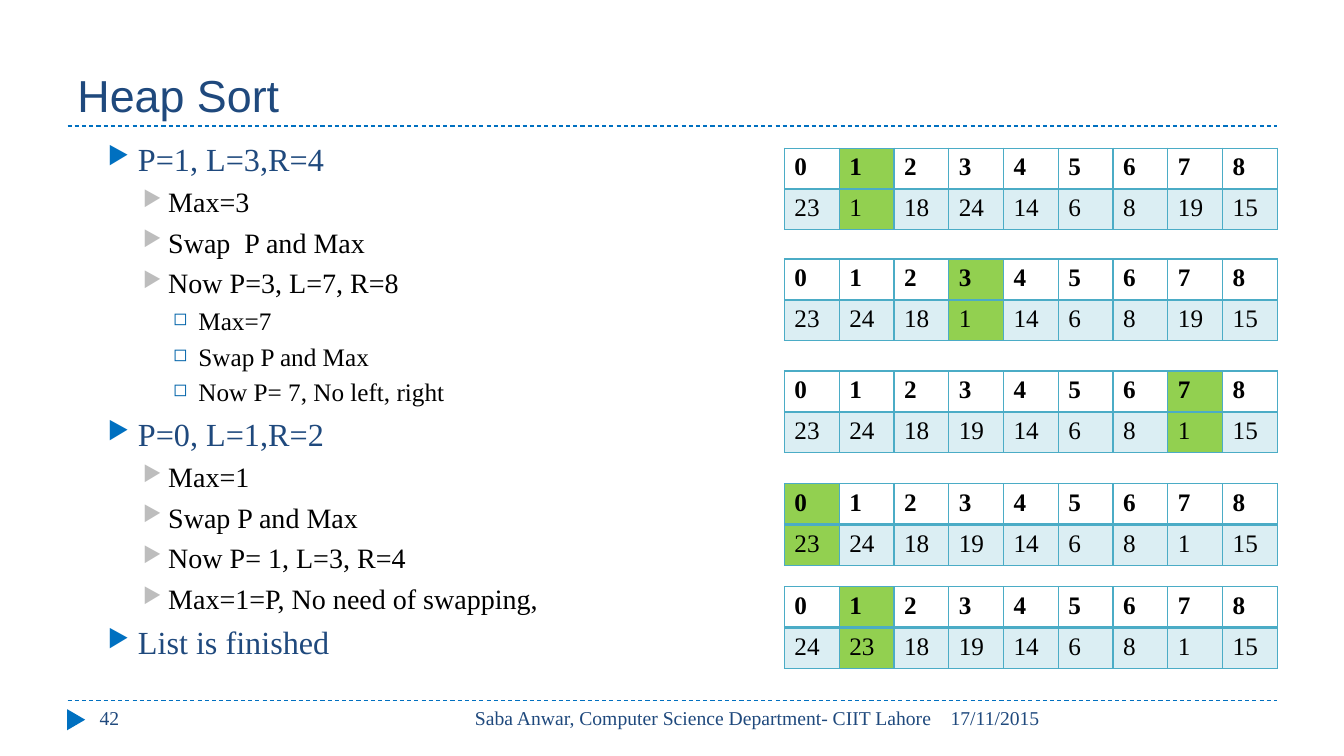
from pptx import Presentation
from pptx.dml.color import RGBColor
from pptx.enum.dml import MSO_LINE
from pptx.enum.shapes import MSO_CONNECTOR, MSO_SHAPE
from pptx.enum.text import MSO_ANCHOR, PP_ALIGN
from pptx.oxml.ns import qn
from pptx.util import Inches, Pt
from lxml.etree import SubElement

INK = {"navy": "1F497D", "blue": "0070C0", "gray": "BDBDBD", "deep": "0063A9",
       "black": "000000", "teal": "4BACC6", "green": "92D050"}
SERIF = "Times New Roman"

# Per level: indent, hang, space before, size, text colour, mark, its colour, its size
LEVELS = {1: (0.6, 0.3, 5, 23, "navy", "▶", "blue", 76),
          2: (0.9, 0.25, 5, 20, "black", "▶", "gray", 76),
          3: (1.2, 0.25, 4, 18, "black", "◻", "deep", 70)}

STEPS = [(1, "P=1, L=3,R=4"), (2, "Max=3"), (2, "Swap  P and Max"),
         (2, "Now P=3, L=7, R=8"), (3, "Max=7"), (3, "Swap P and Max"),
         (3, "Now P= 7, No left, right"), (1, "P=0, L=1,R=2"), (2, "Max=1"),
         (2, "Swap P and Max"), (2, "Now P= 1, L=3, R=4"),
         (2, "Max=1=P, No need of swapping,"), (1, "List is finished")]

# Per table: top, marked column, heap values
HEAPS = [(1.47, 1, [23, 1, 18, 24, 14, 6, 8, 19, 15]),
         (2.57, 3, [23, 24, 18, 1, 14, 6, 8, 19, 15]),
         (3.68, 7, [23, 24, 18, 19, 14, 6, 8, 1, 15]),
         (4.8, 0, [23, 24, 18, 19, 14, 6, 8, 1, 15]),
         (5.82, 1, [24, 23, 18, 19, 14, 6, 8, 1, 15])]


def tint(name):
    return RGBColor.from_string(INK[name])


class Deck:
    def __init__(self):
        self.file = Presentation()
        self.file.slide_width = Inches(13.33)
        self.file.slide_height = Inches(7.5)
        self.slide = self.file.slides.add_slide(self.file.slide_layouts[6])
        self.shapes = self.slide.shapes

    def rule(self, y):
        line = self.shapes.add_connector(
            MSO_CONNECTOR.STRAIGHT, Inches(0.67), Inches(y), Inches(12.67), Inches(y))
        line.line.color.rgb = tint("blue")
        line.line.width = Pt(0.75)
        line.line.dash_style = MSO_LINE.DASH
        SubElement(line._element.spPr, qn("a:effectLst"))

    def arrow(self, *box):
        shape = self.shapes.add_shape(
            MSO_SHAPE.ISOSCELES_TRIANGLE, *[Inches(n) for n in box])
        shape.rotation = 90
        shape.shadow.inherit = False
        shape.fill.solid()
        shape.fill.fore_color.rgb = tint("blue")
        shape.line.fill.background()

    def frame(self, box, anchor=MSO_ANCHOR.TOP):
        frame = self.shapes.add_textbox(*[Inches(n) for n in box]).text_frame
        frame.word_wrap = True
        frame.vertical_anchor = anchor
        return frame

    def run(self, para, text, size, color, face=SERIF, bold=False):
        run = para.add_run()
        run.text = text
        font = run.font
        font.size, font.name, font.bold = Pt(size), face, bold
        font.color.rgb = tint(color)

    def text(self, box, text, size=14, face=SERIF, align=PP_ALIGN.LEFT,
             anchor=MSO_ANCHOR.TOP):
        para = self.frame(box, anchor).paragraphs[0]
        para.alignment = align
        self.run(para, text, size, "navy", face)

    def list(self, box, items):
        frame = self.frame(box)
        for i, (level, text) in enumerate(items):
            left, hang, space, size, color, mark, hue, scale = LEVELS[level]
            para = frame.add_paragraph() if i else frame.paragraphs[0]
            para.level = level - 1
            para.space_before = Pt(space if i else 0)
            props = para._p.get_or_add_pPr()
            props.set("marL", str(Inches(left)))
            props.set("indent", str(-Inches(hang)))
            SubElement(SubElement(props, qn("a:buClr")), qn("a:srgbClr"), val=INK[hue])
            SubElement(props, qn("a:buSzPct"), val=str(scale * 1000))
            SubElement(props, qn("a:buChar"), char=mark)
            self.run(para, text, size, color)

    def edge(self, props, side, width):
        line = SubElement(props, qn("a:ln" + side), w=str(Pt(width)))
        SubElement(SubElement(line, qn("a:solidFill")), qn("a:srgbClr"), val=INK["teal"])

    def cell(self, cell, text, head, marked):
        props = cell._tc.get_or_add_tcPr()
        # The line between the two rows is the thick one
        for side, width in (("L", 1), ("R", 1), ("T", 1 if head else 2),
                            ("B", 2 if head else 1)):
            self.edge(props, side, width)
        if head and not marked:
            cell.fill.background()
        else:
            cell.fill.solid()
            cell.fill.fore_color.rgb = tint("green" if marked else "teal")
            if not marked:
                color = props.find(qn("a:solidFill")).find(qn("a:srgbClr"))
                SubElement(color, qn("a:alpha"), val="20000")
        self.run(cell.text_frame.paragraphs[0], text, 18, "black", bold=head)

    def heap(self, top, mark, values):
        table = self.shapes.add_table(
            2, len(values), Inches(7.78), Inches(top), Inches(4.89), Inches(0.81)).table
        table.horz_banding = False
        for r, row in enumerate([range(len(values)), values]):
            for c, value in enumerate(row):
                self.cell(table.cell(r, c), str(value), r == 0, c == mark)


def main():
    deck = Deck()

    # Rules and footer mark
    deck.rule(6.95)
    deck.rule(1.25)
    deck.arrow(0.65, 7.05, 0.21, 0.18)

    # Title and footer
    deck.text((0.67, 0.17, 12, 1.08), "Heap Sort", 32, "Arial", anchor=MSO_ANCHOR.BOTTOM)
    deck.text((9.33, 6.95, 3.34, 0.4), "17/11/2015")
    deck.text((4.23, 6.95, 5.11, 0.4),
              "Saba Anwar, Computer Science Department- CIIT Lahore", align=PP_ALIGN.RIGHT)
    deck.text((0.89, 6.95, 2.89, 0.4), "42")

    # Steps and heap states
    deck.list((0.67, 1.33, 12, 5.4), STEPS)
    for heap in HEAPS:
        deck.heap(*heap)

    deck.file.save("out.pptx")


if __name__ == "__main__":
    main()
